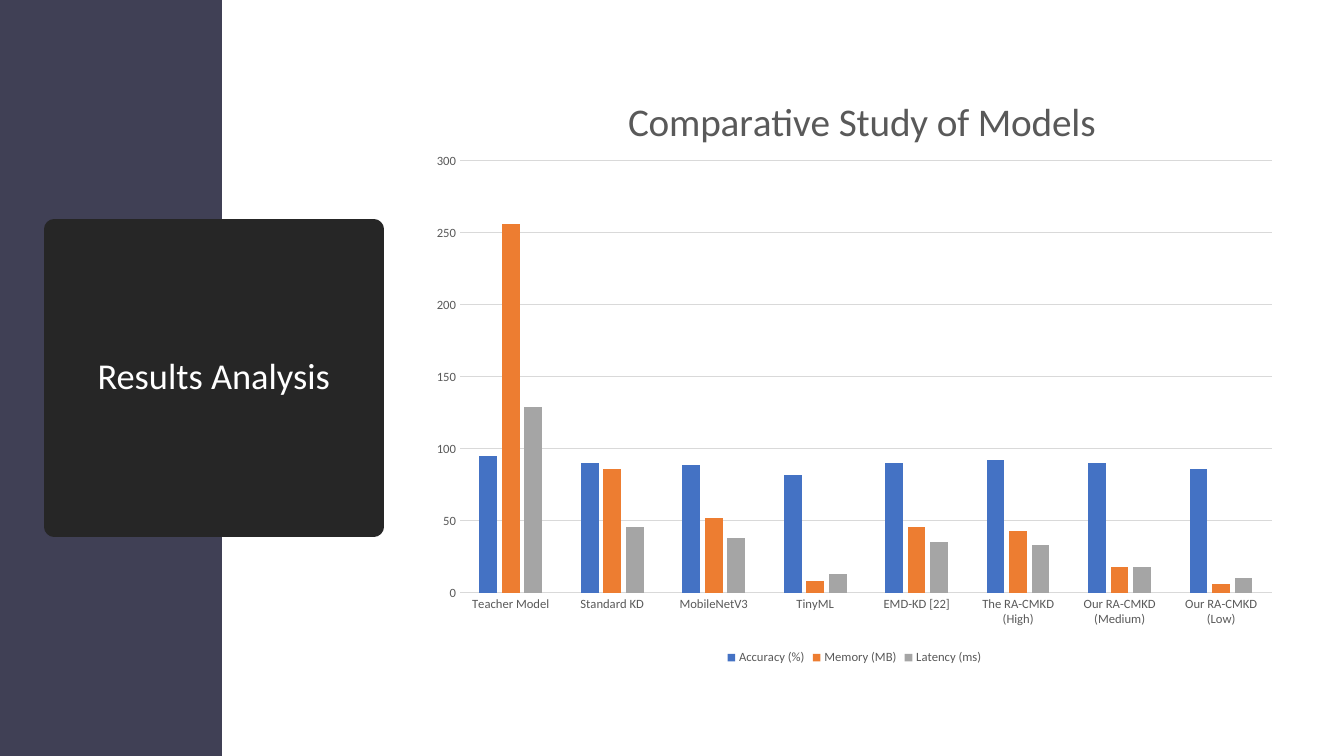
from lxml.etree import SubElement
from pptx import Presentation
from pptx.chart.data import CategoryChartData
from pptx.dml.color import RGBColor
from pptx.enum.chart import XL_CHART_TYPE as ChartType, XL_LEGEND_POSITION as LegendPos, XL_TICK_MARK as Tick
from pptx.enum.shapes import MSO_SHAPE as Shape
from pptx.enum.text import MSO_ANCHOR as Anchor, PP_ALIGN as Align
from pptx.oxml.ns import qn
from pptx.util import Pt

# Content
HEADING = "Results Analysis"
CHART_TITLE = "Comparative Study of Models"
MODELS = ["Teacher Model", "Standard KD", "MobileNetV3", "TinyML", "EMD-KD [22]",
          "The RA-CMKD (High)", "Our RA-CMKD (Medium)", "Our RA-CMKD (Low)"]

WHITE = RGBColor(0xFF, 0xFF, 0xFF)
SLATE = RGBColor(0x40, 0x40, 0x55)
CHARCOAL = RGBColor(0x26, 0x26, 0x26)
GREY_TEXT = RGBColor(0x59, 0x59, 0x59)
GRID = RGBColor(0xD9, 0xD9, 0xD9)
BLUE = RGBColor(0x44, 0x72, 0xC4)
ORANGE = RGBColor(0xED, 0x7D, 0x31)
GREY = RGBColor(0xA5, 0xA5, 0xA5)

METRICS = [
    ("Accuracy (%)", BLUE, (95, 90, 89, 82, 90, 92, 90, 86)),
    ("Memory (MB)", ORANGE, (256, 86, 52, 8, 46, 43, 18, 6)),
    ("Latency (ms)", GREY, (129, 46, 38, 13, 35, 33, 18, 10)),
]

# Geometry in px: left, top, width, height
PX = 914400 / 100.8
SLIDE = (1344, 756)
SIDEBAR = (0, 0, 222, 756)
CARD = (54, 229, 320, 298)
CHART = (420, 68, 869, 601)
PLOT = (460, 161, 812, 432)
TITLE_AT = (621, 88)
FONT = "Calibri"


def emu(*lengths):
    return [round(n * PX) for n in lengths]


def style(font, size, color):
    font.name, font.size, font.bold = FONT, Pt(size), False
    font.color.rgb = color


def add_block(s, box, color):
    sp = s.shapes.add_shape(Shape.RECTANGLE, *emu(*box))
    sp.shadow.inherit = False
    sp.fill.solid()
    sp.fill.fore_color.rgb = color
    sp.line.fill.background()
    return sp


def place(part, index, left, top, *size):
    """Fix a chart part at a px position, as fractions of the chart."""
    for old in part.findall(qn("c:layout")):
        part.remove(old)
    layout = SubElement(part, qn("c:layout"))
    part.insert(index, layout)
    manual = SubElement(layout, qn("c:manualLayout"))
    values = {"xMode": "edge", "yMode": "edge",
              "x": (left - CHART[0]) / CHART[2], "y": (top - CHART[1]) / CHART[3]}
    if size:
        SubElement(manual, qn("c:layoutTarget")).set("val", "inner")
        values.update(w=size[0] / CHART[2], h=size[1] / CHART[3])
    for tag, value in values.items():
        SubElement(manual, qn("c:" + tag)).set("val", str(value))


prs = Presentation()
prs.slide_width, prs.slide_height = emu(*SLIDE)
s = prs.slides.add_slide(prs.slide_layouts[6])

# Sidebar and heading card with a thick, round-joined border
add_block(s, SIDEBAR, SLATE)
card = add_block(s, CARD, CHARCOAL)
card.line.color.rgb = CHARCOAL
card.line.width = Pt(13.75)
SubElement(card.line.fill._xPr, qn("a:round"))
tf = card.text_frame
tf.word_wrap = True
tf.vertical_anchor = Anchor.MIDDLE
p = tf.paragraphs[0]
p.alignment, p.line_spacing = Align.CENTER, 0.9
r = p.add_run()
r.text = HEADING
style(r.font, 26, WHITE)

# Chart
data = CategoryChartData()
data.categories = MODELS
for name, _, values in METRICS:
    data.add_series(name, values)
chart = s.shapes.add_chart(ChartType.COLUMN_CLUSTERED, *emu(*CHART), data).chart
style(chart.font, 10, GREY_TEXT)

r = chart.chart_title.text_frame.paragraphs[0].add_run()
r.text = CHART_TITLE
style(r.font, 28, GREY_TEXT)
chart.chart_title.include_in_layout = False
place(chart.chart_title._element, 1, *TITLE_AT)

plot = chart.plots[0]
plot.gap_width, plot.overlap, plot.vary_by_categories = 219, -27, False
place(plot._element.getparent(), 0, *PLOT)
for series, (_, color, _) in zip(plot.series, METRICS):
    series.format.fill.solid()
    series.format.fill.fore_color.rgb = color

# Axes and legend
cat_axis, val_axis = chart.category_axis, chart.value_axis
for axis in (cat_axis, val_axis):
    axis.major_tick_mark = axis.minor_tick_mark = Tick.NONE
    style(axis.tick_labels.font, 9, GREY_TEXT)
val_axis.minimum_scale, val_axis.maximum_scale, val_axis.major_unit = 0, 300, 50
val_axis.format.line.fill.background()
for line in (cat_axis.format.line, val_axis.major_gridlines.format.line):
    line.color.rgb = GRID
    line.width = Pt(0.75)
chart.has_legend = True
chart.legend.position = LegendPos.BOTTOM
chart.legend.include_in_layout = False
style(chart.legend.font, 9, GREY_TEXT)

prs.save("out.pptx")
